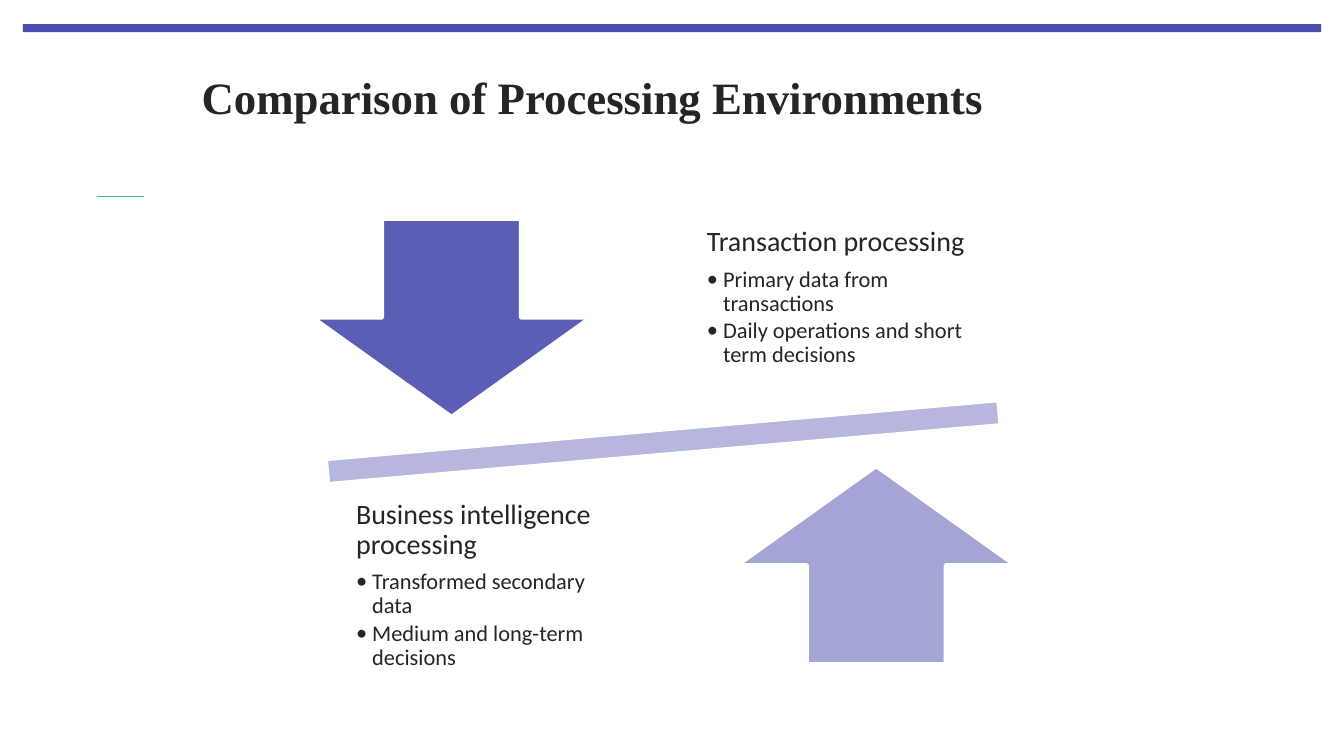
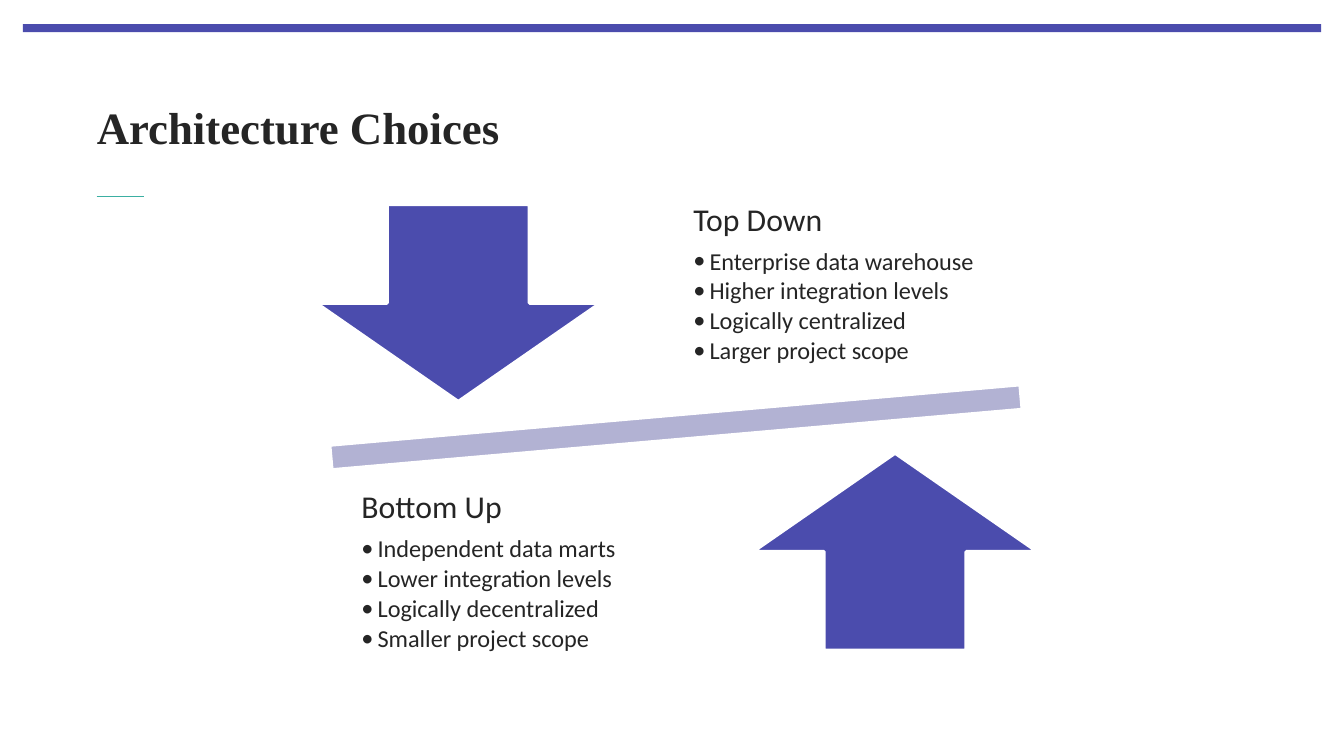
from lxml import etree
from pptx import Presentation
from pptx.dml.color import RGBColor
from pptx.enum.shapes import MSO_CONNECTOR, MSO_SHAPE
from pptx.enum.text import MSO_ANCHOR, MSO_AUTO_SIZE, PP_ALIGN
from pptx.oxml.ns import qn
from pptx.util import Inches, Pt

RECTANGLE = MSO_SHAPE.RECTANGLE
MINUS = MSO_SHAPE.MATH_MINUS
DOWN_ARROW = MSO_SHAPE.DOWN_ARROW
UP_ARROW = MSO_SHAPE.UP_ARROW
STRAIGHT = MSO_CONNECTOR.STRAIGHT
MIDDLE = MSO_ANCHOR.MIDDLE
NO_AUTOFIT = MSO_AUTO_SIZE.NONE
LEFT = PP_ALIGN.LEFT

TITLE_ONLY = 5
BODY_FONT = "Calibri"
TITLE_FONT = "Times New Roman"
BULLET_INDENT = Inches(0.12)
COLORS = {
    "indigo": "4B4CAD",
    "teal": "3BAFA2",
    "ink": "252525",
    "white": "FFFFFF",
    "lavender": "B6B6DF",
    "haze": "B2B2D3",
}

SLIDES = [
    {
        "title": "Comparison of Processing Environments",
        "title_at": (1.5, 0.44, 6.98, 0.56),
        "beam": ((1.52, 2.9, 6.83, 0.78), "lavender"),
        "arrows": [
            (DOWN_ARROW, (2.33, 1.63, 2.06, 1.47), 90),
            (UP_ARROW, (5.49, 3.47, 2.06, 1.47), 50),
        ],
        "sizes": (15, 12),
        "inset": 0.12,
        "sides": [
            ((5.14, 1.44, 2.2, 1.55), "Transaction processing",
             ["Primary data from transactions",
              "Daily operations and short term decisions"]),
            ((2.53, 3.58, 2.2, 1.55), "Business intelligence processing",
             ["Transformed secondary data",
              "Medium and long-term decisions"]),
        ],
    },
    {
        "title": "Architecture Choices",
        "title_at": (0.72, 0.47, 8.71, 0.94),
        "beam": ((1.52, 2.78, 7.02, 0.8), "haze"),
        "arrows": [
            (DOWN_ARROW, (2.35, 1.52, 2.12, 1.47), 100),
            (UP_ARROW, (5.6, 3.37, 2.12, 1.47), 100),
        ],
        "sizes": (17, 13),
        "inset": 0.13,
        "sides": [
            ((5.03, 1.34, 2.7, 1.55), "Top Down",
             ["Enterprise data warehouse", "Higher integration levels",
              "Logically centralized", "Larger project scope"]),
            ((2.56, 3.48, 2.26, 1.55), "Bottom Up",
             ["Independent data marts", "Lower integration levels",
              "Logically decentralized", "Smaller project scope"]),
        ],
    },
]


def rgb(name):
    return RGBColor.from_string(COLORS[name])


def inches(place):
    return [Inches(length) for length in place]


def set_frame(frame, inset=0):
    margins = ("margin_left", "margin_top", "margin_right", "margin_bottom")
    values = dict.fromkeys(margins, Inches(inset))
    values.update(word_wrap=True, auto_size=NO_AUTOFIT, vertical_anchor=MIDDLE)
    for name, value in values.items():
        setattr(frame, name, value)


def add_span(para, text, size, font=BODY_FONT, bold=False):
    span = para.add_run()
    span.text = text
    for name, value in {"name": font, "size": Pt(size), "bold": bold}.items():
        setattr(span.font, name, value)
    span.font.color.rgb = rgb("ink")


def add_figure(shapes, kind, place, color, opacity=100, outlined=True):
    figure = shapes.add_shape(kind, *inches(place))
    figure.shadow.inherit = False
    figure.fill.solid()
    figure.fill.fore_color.rgb = rgb(color)
    if opacity < 100:
        tint = figure.fill._xPr.find(qn("a:solidFill"))[0]
        etree.SubElement(tint, qn("a:alpha"), val=str(opacity * 1000))
    if outlined:
        figure.line.color.rgb = rgb("white")
        figure.line.width = Pt(2)
    else:
        figure.line.fill.background()
    return figure


def add_frame_marks(slide):
    """Draw the top band and the short rule below the title."""
    add_figure(slide.shapes, RECTANGLE, (0.17, 0.18, 9.66, 0.06), "indigo",
               outlined=False)
    rule = slide.shapes.add_connector(
        STRAIGHT, *inches((0.72, 1.46, 1.07, 1.46)))
    rule.line.color.rgb = rgb("teal")
    rule.line.width = Pt(0.5)
    etree.SubElement(rule._element.spPr, qn("a:effectLst"))


def set_title(slide, text, place):
    title = slide.shapes.title
    title.left, title.top, title.width, title.height = inches(place)
    set_frame(title.text_frame)
    para = title.text_frame.paragraphs[0]
    para.alignment = LEFT
    add_span(para, text, 24, TITLE_FONT, bold=True)


def add_bullet(para):
    para.level = 1
    properties = para._p.get_or_add_pPr()
    properties.set("marL", str(BULLET_INDENT))
    properties.set("indent", str(-BULLET_INDENT))
    etree.SubElement(properties, qn("a:buFont"), typeface=BODY_FONT)
    etree.SubElement(properties, qn("a:buChar"), char="•")


def add_side(shapes, place, heading, points, sizes, inset):
    """Write a heading with its bulleted points."""
    box = shapes.add_textbox(*inches(place))
    frame = box.text_frame
    set_frame(frame, inset)
    heading_size, point_size = sizes
    para = frame.paragraphs[0]
    para.line_spacing = 0.9
    para.space_after = Pt(heading_size * 0.35)
    add_span(para, heading, heading_size)
    for point in points:
        para = frame.add_paragraph()
        para.line_spacing = 0.9
        para.space_after = Pt(point_size * 0.15)
        add_bullet(para)
        add_span(para, point, point_size)


def add_balance(slide, content):
    """Draw the tilted beam, its two arrows and the text of both sides."""
    shapes = slide.shapes.add_group_shape().shapes
    beam = add_figure(shapes, MINUS, *content["beam"])
    beam.rotation = 355
    for arrow, side in zip(content["arrows"], content["sides"]):
        kind, place, opacity = arrow
        add_figure(shapes, kind, place, "indigo", opacity)
        add_side(shapes, *side, content["sizes"], content["inset"])


def main():
    deck = Presentation()
    deck.slide_width = Inches(10)
    deck.slide_height = deck.slide_width * 9 // 16
    for content in SLIDES:
        slide = deck.slides.add_slide(deck.slide_layouts[TITLE_ONLY])
        add_frame_marks(slide)
        set_title(slide, content["title"], content["title_at"])
        add_balance(slide, content)
    deck.save("out.pptx")


if __name__ == "__main__":
    main()
